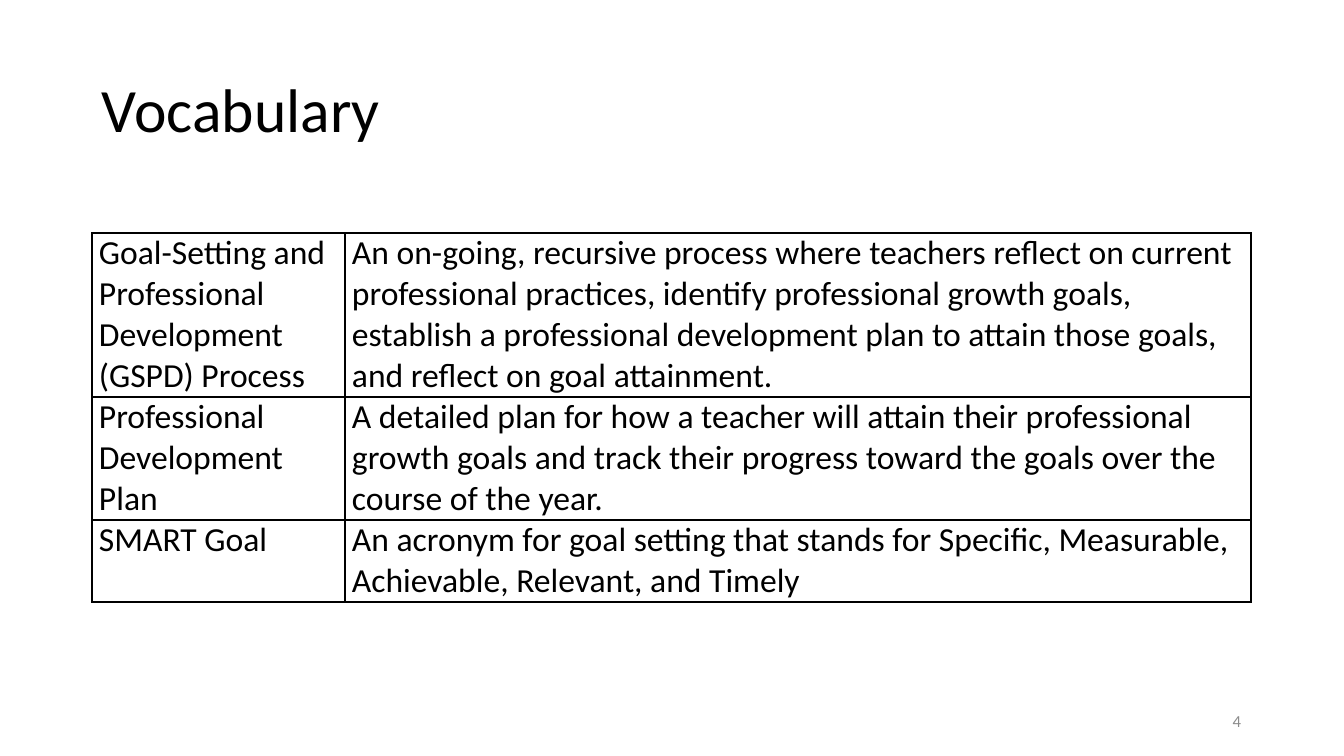
from lxml import etree
from pptx import Presentation
from pptx import util as u
from pptx.dml.color import RGBColor
from pptx.enum import text
from pptx.oxml import ns

EMU_PER_PX = 914400 / 100.8
BLACK = RGBColor(0x00, 0x00, 0x00)
GRAY = RGBColor(0x8C, 0x8C, 0x8C)
FONT = "Calibri"

VOCABULARY = [
    ("Goal-Setting and Professional Development (GSPD) Process",
     "An on-going, recursive process where teachers reflect on current professional practices, "
     "identify professional growth goals, establish a professional development plan to attain "
     "those goals, and reflect on goal attainment."),
    ("Professional Development Plan",
     "A detailed plan for how a teacher will attain their professional growth goals and track "
     "their progress toward the goals over the course of the year."),
    ("SMART Goal",
     "An acronym for goal setting that stands for Specific, Measurable, Achievable, Relevant, "
     "and Timely"),
]
LINES_PER_ROW = (4, 3, 2)


def px(length):
    return u.Emu(round(length * EMU_PER_PX))


def add_run(paragraph, wording, size, color):
    run = paragraph.add_run()
    run.text = wording
    run.font.name = FONT
    run.font.size = u.Pt(size)
    run.font.color.rgb = color


def add_line(slide, box, wording, size, color, align):
    frame = slide.shapes.add_textbox(*map(px, box)).text_frame
    frame.word_wrap = True
    frame.vertical_anchor = text.MSO_ANCHOR.MIDDLE
    paragraph = frame.paragraphs[0]
    paragraph.alignment = align
    add_run(paragraph, wording, size, color)
    return paragraph


def add_title(slide, box):
    title = add_line(slide, box, "Vocabulary", 44, BLACK, text.PP_ALIGN.LEFT)
    title.line_spacing = 0.9


def add_page_number(slide, box):
    add_line(slide, box, "4", 12, GRAY, text.PP_ALIGN.RIGHT)


def add_borders(cell):
    properties = cell._tc.get_or_add_tcPr()
    for position, side in enumerate(("lnL", "lnR", "lnT", "lnB")):
        border = etree.Element(ns.qn(f"a:{side}"), w=str(u.Pt(1)))
        fill = etree.SubElement(border, ns.qn("a:solidFill"))
        etree.SubElement(fill, ns.qn("a:srgbClr"), val=str(BLACK))
        properties.insert(position, border)


def fill_cell(cell, wording):
    cell.margin_left = cell.margin_right = px(7)
    cell.margin_top = cell.margin_bottom = 0
    cell.fill.background()
    add_borders(cell)
    paragraph = cell.text_frame.paragraphs[0]
    paragraph.space_after = u.Pt(6)
    add_run(paragraph, wording, 24, BLACK)


def add_vocabulary(slide, box):
    left, top, width, height = box
    table = slide.shapes.add_table(len(VOCABULARY), 2, *map(px, box)).table
    table.first_row = False
    table.horz_banding = False
    term_width = 253
    for column, column_width in zip(table.columns, (term_width, width - term_width)):
        column.width = px(column_width)
    line_height = height // sum(LINES_PER_ROW)
    for row, lines, entry in zip(table.rows, LINES_PER_ROW, VOCABULARY):
        row.height = px(lines * line_height)
        for cell, wording in zip(row.cells, entry):
            fill_cell(cell, wording)


def main():
    presentation = Presentation()
    presentation.slide_width = px(1344)
    presentation.slide_height = px(756)
    slide = presentation.slides.add_slide(presentation.slide_layouts[6])
    add_title(slide, (92, 40, 1159, 146))
    add_vocabulary(slide, (92, 233, 1159, 369))
    add_page_number(slide, (949, 701, 302, 40))
    presentation.save("out.pptx")


if __name__ == "__main__":
    main()
